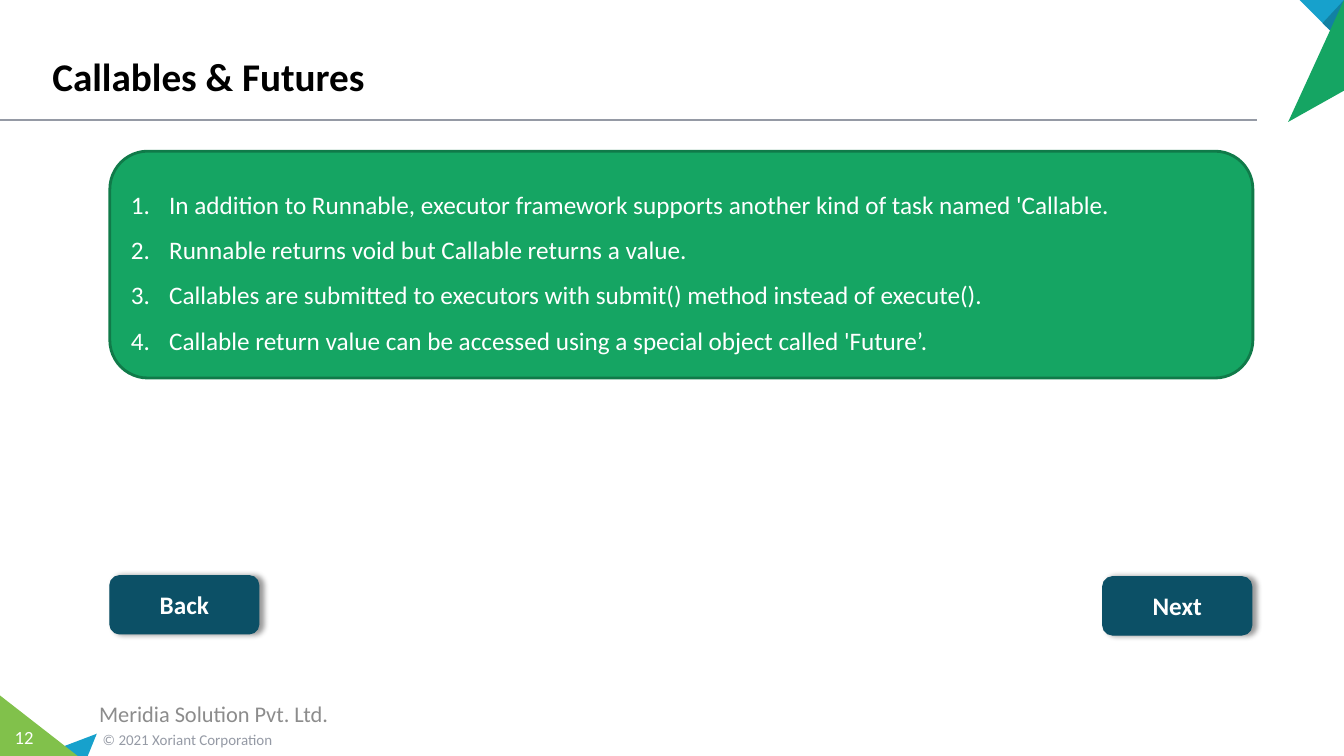
"""Build the "Callables & Futures" slide on a grid of 64 columns by 36 rows."""
from lxml.etree import SubElement
from pptx import Presentation
from pptx.dml.color import RGBColor
from pptx.enum.shapes import MSO_CONNECTOR as Connector, MSO_SHAPE as Shape
from pptx.enum.text import MSO_ANCHOR as Anchor, PP_ALIGN as Align
from pptx.oxml.ns import qn
from pptx.util import Inches, Pt

THEME = {
    "font": "Calibri",
    "white": RGBColor.from_string("FFFFFF"),
    "black": RGBColor.from_string("000000"),
    "rule": RGBColor.from_string("959AA5"),
    "company": RGBColor.from_string("8C8C8C"),
    "green": RGBColor.from_string("15A563"),
    "edge": RGBColor.from_string("107A49"),
    "lime": RGBColor.from_string("81C14B"),
    "blue": RGBColor.from_string("17A1CC"),
    "deep": RGBColor.from_string("1281A3"),
    "petrol": RGBColor.from_string("0C5066"),
    "title": Pt(28),
    "body": Pt(18),
    "footer": Pt(16),
    "number": Pt(13.3),
    "small": Pt(10.7),
}

deck = Presentation()
deck.slide_width, deck.slide_height = Inches(13.33), Inches(7.5)
page = deck.slides.add_slide(deck.slide_layouts[6])
column, row = deck.slide_width / 64, deck.slide_height / 36


def grid(*cells):
    """Turn alternating columns and rows into lengths."""
    return [round(cell * (row if index % 2 else column)) for index, cell in enumerate(cells)]


def write(shape, lines, size, color, bold=False, align=Align.LEFT, anchor=Anchor.MIDDLE):
    """Fill a shape with one paragraph per line."""
    frame = shape.text_frame
    frame.word_wrap, frame.vertical_anchor = True, anchor
    frame.text = "\n".join(lines)
    for para in frame.paragraphs:
        para.alignment = align
        span = para.runs[0]
        look = {"name": THEME["font"], "size": THEME[size], "bold": bold}
        for name, value in look.items():
            setattr(span.font, name, value)
        span.font.color.rgb = THEME[color]
    return frame


rule = page.shapes.add_connector(Connector.STRAIGHT, *grid(0, 5.71, 59.86, 5.71))
rule.line.color.rgb, rule.line.width = THEME["rule"], Pt(1)
SubElement(rule._element.spPr, qn("a:effectLst"))

triangles = [
    ("blue", (4.61, 34.94), (4.18, 36), (1.82, 36)),
    ("lime", (0, 33.12), (3.7, 36), (0, 36)),
    ("blue", (61.89, 0), (64, 0), (64, 2.11)),
    ("deep", (62.98, 1.1), (64, 0), (64, 2.11)),
    ("green", (61.34, 5.81), (64, 0), (64, 4.32)),
]
for color, start, *corners in triangles:
    outline = page.shapes.build_freeform(*grid(*start))
    outline.add_line_segments([grid(*corner) for corner in corners], close=True)
    triangle = outline.convert_to_shape()
    triangle.shadow.inherit = False
    triangle.fill.solid()
    triangle.fill.fore_color.rgb = THEME[color]
    triangle.line.fill.background()

labels = [
    ((4.42, 34.56, 14.93, 1.34), "© 2021 Xoriant Corporation", "small", "rule", {}),
    ((0, 34.32, 2.3, 1.58), "12", "number", "white", {"align": Align.CENTER, "anchor": Anchor.TOP}),
    ((2.02, 0.38, 57.6, 4.61), "Callables & Futures", "title", "black",
     {"bold": True, "anchor": Anchor.BOTTOM}),
    ((1.06, 33.02, 18.24, 1.92), "Meridia Solution Pvt. Ltd.", "footer", "company",
     {"align": Align.CENTER}),
]
for cells, words, size, color, options in labels:
    frame = write(page.shapes.add_textbox(*grid(*cells)), [words], size, color, **options)
    if size == "number":
        frame.margin_left = frame.margin_right = 0

points = [
    "In addition to Runnable, executor framework supports another kind of task named 'Callable.",
    "Runnable returns void but Callable returns a value.",
    "Callables are submitted to executors with submit() method instead of execute().",
    "Callable return value can be accessed using a special object called 'Future’.",
]
panels = [
    ((5.23, 7.2, 54.43, 10.8), points, "green", "edge", 2, {}),
    ((52.51, 27.46, 7.1, 2.78), ["Next"], "petrol", "petrol", 0.75,
     {"bold": True, "align": Align.CENTER}),
    ((5.23, 27.41, 7.1, 2.78), ["Back"], "petrol", "petrol", 0.75,
     {"bold": True, "align": Align.CENTER}),
]
for cells, lines, fill, edge, weight, options in panels:
    panel = page.shapes.add_shape(Shape.ROUNDED_RECTANGLE, *grid(*cells))
    panel.shadow.inherit = False
    panel.fill.solid()
    panel.fill.fore_color.rgb = THEME[fill]
    panel.line.color.rgb, panel.line.width = THEME[edge], Pt(weight)
    frame = write(panel, lines, "body", "white", **options)
    if lines is points:
        for para in frame.paragraphs:
            para.line_spacing = 1.5
            settings = para._p.get_or_add_pPr()
            settings.set("marL", str(Inches(0.38)))
            settings.set("indent", str(-Inches(0.38)))
            SubElement(settings, qn("a:buAutoNum"), type="arabicPeriod")
    else:
        effects = panel._element.spPr.find(qn("a:effectLst"))
        shadow = SubElement(effects, qn("a:outerShdw"), blurRad=str(Pt(4)), dist=str(Pt(3)),
                            dir="0", algn="l", rotWithShape="0")
        tint = SubElement(shadow, qn("a:srgbClr"), val=str(THEME["black"]))
        SubElement(tint, qn("a:alpha"), val="40000")

deck.save("out.pptx")
